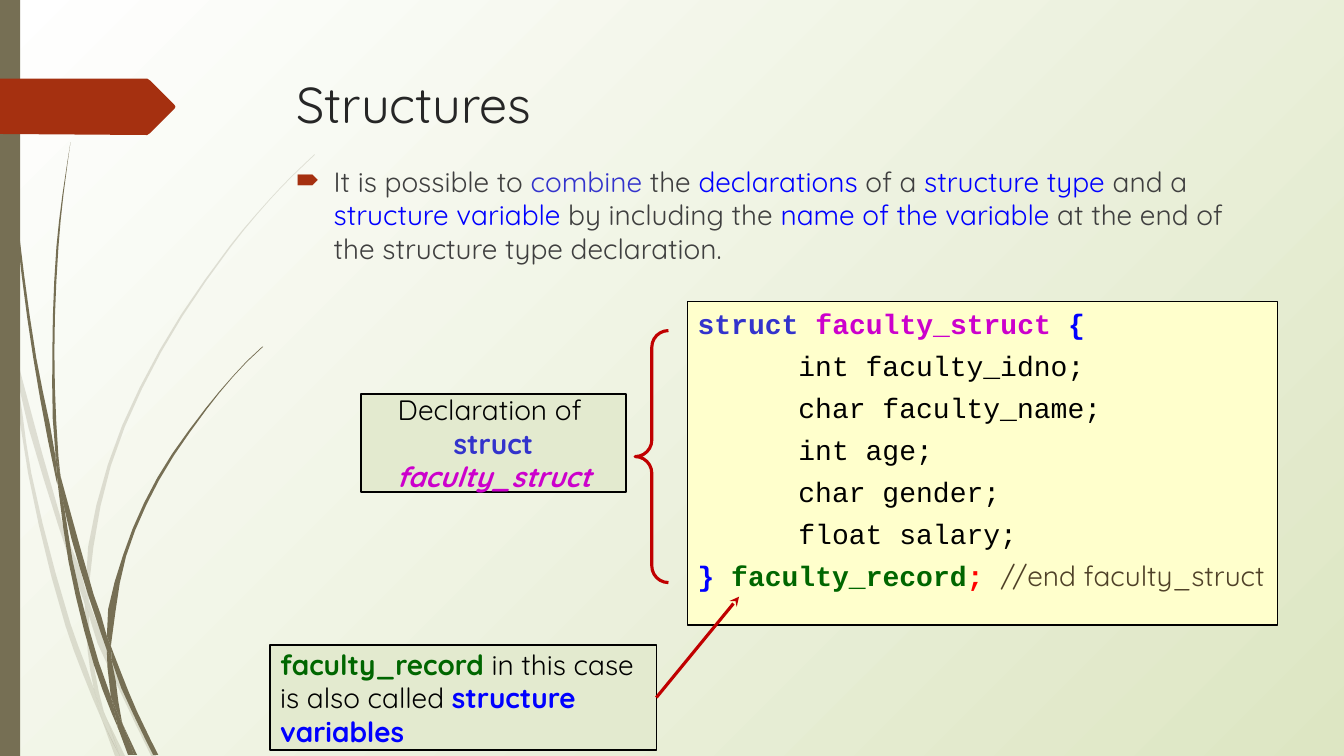
from math import hypot

from lxml.etree import SubElement
from pptx import Presentation
from pptx.dml.color import RGBColor
from pptx.enum.shapes import MSO_CONNECTOR, MSO_SHAPE as SHAPE
from pptx.enum.text import MSO_ANCHOR as ANCHOR, MSO_AUTO_SIZE as AUTO, PP_ALIGN as ALIGN
from pptx.oxml.ns import qn
from pptx.util import Inches, Pt

THEME = dict(
    font="Quicksand", mono="Courier New", title_size=36, size=20,
    title="262626", body="3F3F3F", black="000000", blue="0000FF", indigo="3333CC",
    magenta="CC00CC", green="006600", red="FF0000", brown="4F4128",
    olive="766F54", accent="A53010", arrow="C00000", note="E3EACF", code="FFFFCC",
    bg=("FFFFFF", "DDE6C3"),
)

# Outlines of the grass blades, as anchor points in inches
PALE_BLADES = [
    [(.11, 3.5), (.09, 3.22), (0, 2.82), (0, 2.99), (.1, 3.44)],
    [(.58, 5.22), (.84, 5.99), (.85, 5.86), (.62, 5.2), (.14, 3.45), (.17, 3.76)],
    [(.92, 6.07), (.88, 5.96), (.88, 6.1), (1.23, 6.94), (1.5, 7.5), (1.55, 7.5),
     (1.27, 6.92)],
    [(1.19, 7.5), (1.24, 7.5), (1.05, 7.11)],
    [(.93, 6.83), (.7, 6.19), (.31, 4.69), (.17, 3.76), (.11, 3.5), (.28, 4.7),
     (.65, 6.21), (.92, 6.93), (1.01, 7.14), (.99, 7.07)],
    [(.84, 5.99), (.87, 6.46), (.93, 6.83), (.96, 6.92), (1.05, 7.11), (1.03, 7.06),
     (.91, 6.46), (.88, 6.1), (.88, 6.08)],
    [(.88, 5.84), (1.1, 4.62), (1.6, 3.49), (2.29, 2.45), (2.68, 1.98), (2.9, 1.75),
     (3.12, 1.54), (3.12, 1.53), (2.89, 1.75), (2.68, 1.97), (2.28, 2.44), (1.58, 3.48),
     (1.07, 4.61), (.85, 5.84), (.88, 5.96)],
    [(1.01, 7.14), (1.14, 7.5), (1.19, 7.5)],
    [(.88, 6.08), (.88, 5.96), (.85, 5.86), (.84, 5.99)],
    [(.96, 6.92), (.93, 6.83), (.99, 7.07), (1.01, 7.14), (1.19, 7.5), (1.05, 7.11)],
]
DARK_BLADES = [
    [(.07, 1.1), (.17, 2.33), (.33, 3.55), (.56, 4.77), (.57, 4.81), (.55, 4.53),
     (.36, 3.55), (.19, 2.32), (.08, 1.09), (.05, .48), (.04, 0), (.03, 0), (.04, .48)],
    [(.88, 5.92), (1.06, 6.45), (1.06, 6.31), (.93, 5.9), (.6, 4.72), (.64, 5.05)],
    [(1.13, 6.49), (1.1, 6.41), (1.11, 6.56), (1.32, 7.08), (1.52, 7.49), (1.57, 7.49),
     (1.36, 7.06)],
    [(1.1, 6.91), (.98, 6.57), (.72, 5.56), (.64, 5.05), (.57, 4.77), (.68, 5.57),
     (.93, 6.59), (1.11, 7.08), (1.17, 7.22), (1.16, 7.17)],
    [(.6, 4.72), (.58, 4.53), (.54, 3.49), (.58, 2.45), (.63, 1.93), (.7, 1.41),
     (.62, 1.93), (.56, 2.45), (.52, 3.49), (.55, 4.49)],
    [(1.33, 7.49), (1.36, 7.49), (1.22, 7.19)],
    [(.57, 4.77), (.64, 5.05), (.6, 4.72), (.55, 4.49), (.55, 4.53)],
    [(1.11, 6.33), (1.25, 5.52), (1.58, 4.76), (2.05, 4.06), (2.31, 3.74), (2.45, 3.59),
     (2.61, 3.44), (2.6, 3.44), (2.45, 3.58), (2.31, 3.73), (2.04, 4.05), (1.56, 4.74),
     (1.22, 5.51), (1.06, 6.31), (1.1, 6.41)],
    [(1.17, 7.22), (1.27, 7.49), (1.31, 7.49)],
    [(1.06, 6.45), (1.1, 6.91), (1.16, 7.06), (1.22, 7.19), (1.21, 7.16), (1.11, 6.56),
     (1.09, 6.51)],
    [(1.06, 6.45), (1.11, 6.56), (1.1, 6.41), (1.06, 6.31)],
    [(1.16, 7.06), (1.1, 6.91), (1.16, 7.17), (1.17, 7.22), (1.3, 7.49), (1.33, 7.49),
     (1.22, 7.19)],
]


def smooth(points):
    """Round a closed outline with Hermite curves, keeping its sharp tips."""
    n = len(points)
    tangents = []
    for i, (x, y) in enumerate(points):
        (ax, ay), (bx, by) = points[i - 1], points[(i + 1) % n]
        d_in, d_out = hypot(x - ax, y - ay), hypot(bx - x, by - y)
        u, v = (x - ax) / d_in, (y - ay) / d_in
        s, t = (bx - x) / d_out, (by - y) / d_out
        round_here = u * s + v * t > .7
        tangents.append(((u + s) / 2, (v + t) / 2) if round_here else (0, 0))
    curve = []
    for i, a in enumerate(points):
        j = (i + 1) % n
        b = points[j]
        d = hypot(b[0] - a[0], b[1] - a[1])
        steps = 3 if d > .6 else 2 if d > .25 else 1
        for t in (k / steps for k in range(steps)):
            w = t * t * (3 - 2 * t)
            curve.append(tuple(
                a[k] + (b[k] - a[k]) * w
                + d * t * (1 - t) * ((1 - t) * tangents[i][k] - t * tangents[j][k])
                for k in (0, 1)))
    return curve


def write(p, text, color="black", font="font", size="size", bold=False, italic=False):
    r = p.add_run()
    r.text = text
    f = r.font
    f.name, f.size, f.bold, f.italic = THEME[font], Pt(THEME[size]), bold, italic
    f.color.rgb = RGBColor.from_string(THEME[color])


prs = Presentation()
prs.slide_width, prs.slide_height = Inches(13.33), Inches(7.5)
s = prs.slides.add_slide(prs.slide_layouts[1])
shapes = s.shapes
title, body = s.placeholders

# Background fading from the top left corner
fill = s.background.fill
fill.gradient()
for stop, position, color in zip(fill.gradient_stops, (0, 1), THEME["bg"]):
    stop.position, stop.color.rgb = position, RGBColor.from_string(color)
grad = s.background._cSld.find(".//" + qn("a:gradFill"))
grad.remove(grad.find(qn("a:lin")))
SubElement(SubElement(grad, qn("a:path"), path="circle"), qn("a:fillToRect"),
           r="100000", b="100000")

# Grass, side bar and page tag
bar = shapes.add_shape(SHAPE.RECTANGLE, 0, 0, Inches(.2), prs.slide_height)
tag = [(0, .78), (1.46, .78), (1.49, .8), (1.73, 1.04), (1.74, 1.06), (1.73, 1.08),
       (1.49, 1.32), (1.46, 1.34), (0, 1.33)]
outlines = [(smooth(b), "olive", "20000") for b in PALE_BLADES]
outlines += [(smooth(b), "olive", None) for b in DARK_BLADES]
outlines += [(None, "olive", None), (tag, "accent", None)]
for points, color, alpha in outlines:
    if points:
        points = [(Inches(x), Inches(y)) for x, y in points]
        builder = shapes.build_freeform(*points[0])
        builder.add_line_segments(points[1:])
        sp = builder.convert_to_shape()
    else:
        sp = bar
        shapes._spTree.append(sp._element)
    sp.shadow.inherit = False
    sp.fill.solid()
    sp.fill.fore_color.rgb = RGBColor.from_string(THEME[color])
    sp.line.fill.background()
    if alpha:
        SubElement(sp._element.spPr.find(".//" + qn("a:srgbClr")), qn("a:alpha"), val=alpha)

# Boxes: position, fill, anchor, alignment, space before, line height, paragraphs
code = dict(font="mono")
key = dict(font="mono", bold=True)
fields = ["int faculty_idno;", "char faculty_name;", "int age;", "char gender;",
          "float salary;"]
boxes = [
    (title, (2.84, .68, 9.75, 1.4), None, ANCHOR.TOP, ALIGN.LEFT, 0, None,
     [[("Structures", dict(color="title", size="title_size"))]]),
    (body, (2.83, 1.58, 9.75, 4.88), None, ANCHOR.TOP, ALIGN.LEFT, 0, None,
     [[(text, dict(color=color)) for text, color in [
         ("It is possible to ", "body"), ("combine", "indigo"), (" the ", "body"),
         ("declarations", "blue"), (" of a ", "body"), ("structure type ", "blue"),
         ("and a ", "body"), ("structure variable ", "blue"),
         ("by including the ", "body"), ("name of the variable ", "blue"),
         ("at the end of the structure type declaration.", "body")]]]),
    (None, (6.82, 2.99, 5.85, 3.21), "code", ANCHOR.TOP, ALIGN.LEFT, 6, Pt(24),
     [[("struct ", dict(key, color="indigo")),
       ("faculty_struct ", dict(key, color="magenta")), ("{", dict(key, color="blue"))]]
     + [[(field, code)] for field in fields]
     + [[("} ", dict(key, color="blue")), ("faculty_record", dict(key, color="green")),
         ("; ", dict(key, color="red")), ("//end faculty_struct", dict(color="brown"))]]),
    (None, (2.68, 6.4, 3.83, 1.04), "note", ANCHOR.MIDDLE, ALIGN.LEFT, 0, None,
     [[("faculty_record", dict(color="green", bold=True)),
       (" in this case is also called ", {}),
       ("structure variables", dict(color="blue", bold=True))]]),
    (None, (3.58, 3.91, 2.63, .97), "note", ANCHOR.MIDDLE, ALIGN.CENTER, 0, None,
     [[("Declaration of ", {})],
      [("struct ", dict(color="indigo", bold=True)),
       ("faculty_struct", dict(color="magenta", bold=True, italic=True))]]),
]
for sp, place, paint, anchor, align, before, height, paragraphs in boxes:
    place = [Inches(v) for v in place]
    if sp is None:
        sp = shapes.add_shape(SHAPE.RECTANGLE, *place)
        sp.shadow.inherit = False
        sp.fill.solid()
        sp.fill.fore_color.rgb = RGBColor.from_string(THEME[paint])
        sp.line.color.rgb = RGBColor.from_string(THEME["black"])
        sp.line.width = Pt(1)
    else:
        sp.left, sp.top, sp.width, sp.height = place
        shapes._spTree.append(sp._element)
    tf = sp.text_frame
    tf.word_wrap, tf.auto_size, tf.vertical_anchor = True, AUTO.NONE, anchor
    for i, runs in enumerate(paragraphs):
        p = tf.add_paragraph() if i else tf.paragraphs[0]
        p.alignment, p.space_before, p.line_spacing = align, Pt(before if i else 0), height
        if runs[0][0] in fields:
            p._p.get_or_add_pPr().set("marL", str(Inches(1)))
        for text, style in runs:
            write(p, text, **style)

# Body bullet
pPr = body.text_frame.paragraphs[0]._p.get_or_add_pPr()
pPr.set("marL", str(Inches(.38)))
pPr.set("indent", str(-Inches(.38)))
SubElement(SubElement(pPr, qn("a:buClr")), qn("a:srgbClr"), val=THEME["accent"])
SubElement(pPr, qn("a:buChar"), char="🠶")

# Arrow to the variable and brace around the declaration
arrow = shapes.add_connector(MSO_CONNECTOR.STRAIGHT, Inches(6.51), Inches(6.92),
                             Inches(7.33), Inches(5.92))
brace = shapes.add_shape(SHAPE.LEFT_BRACE, Inches(6.3), Inches(3.28), Inches(.33), Inches(2.5))
brace.adjustments[0], brace.adjustments[1] = .5, .5
brace.fill.background()
brace.shadow.inherit = False
for sp in (arrow, brace):
    sp.line.color.rgb = RGBColor.from_string(THEME["arrow"])
    sp.line.width = Pt(2.25)
SubElement(arrow.line._get_or_add_ln(), qn("a:tailEnd"), type="stealth")
SubElement(arrow._element.spPr, qn("a:effectLst"))

prs.save("out.pptx")
